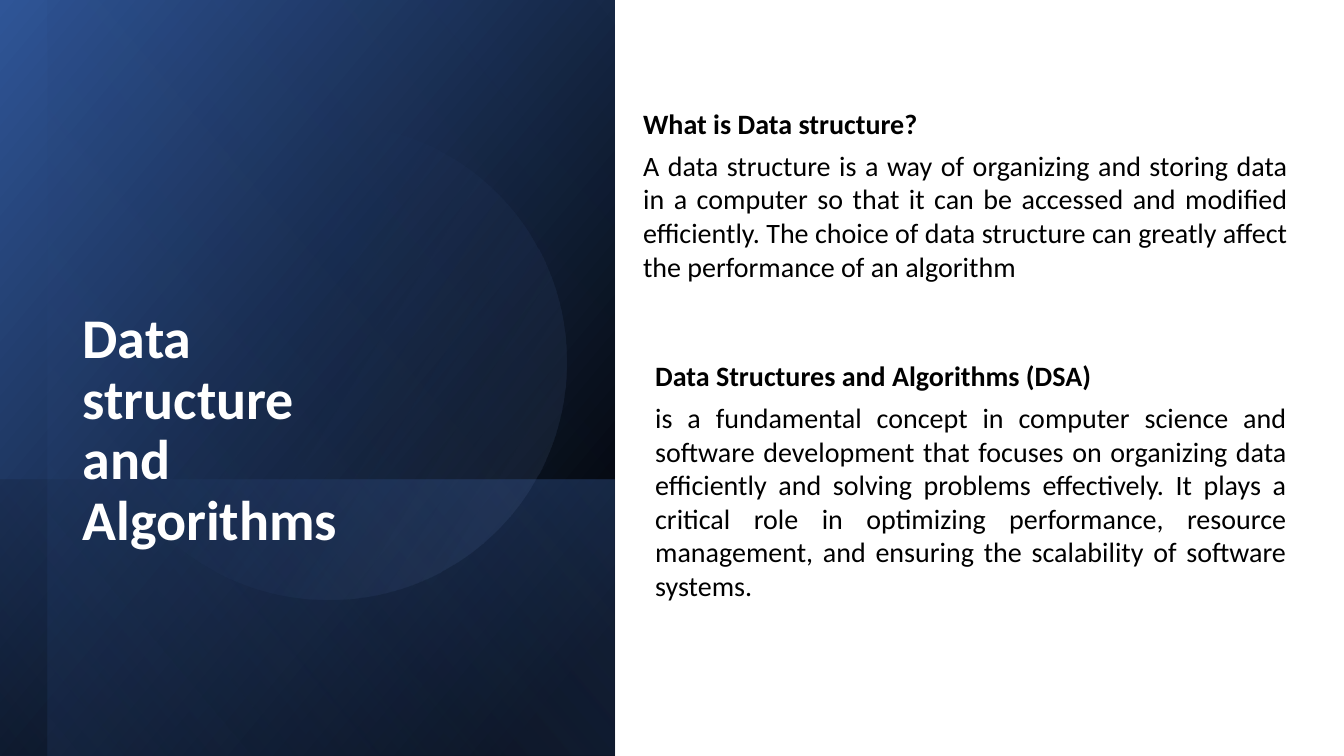
from dataclasses import dataclass

from lxml import etree
from pptx import Presentation
from pptx.dml.color import RGBColor
from pptx.enum import shapes, text
from pptx.oxml import ns
from pptx.util import Pt

PX = 9144  # EMU, 100 px to the inch
FONT = "Calibri"
WHITE, BLACK = "FFFFFF", "000000"
BLUE, DEEP_BLUE, PALE_BLUE = "4472C4", "2F5597", "8FAADC"
RECT, OVAL = shapes.MSO_SHAPE.RECTANGLE, shapes.MSO_SHAPE.OVAL


@dataclass
class Box:
    left: int
    top: int
    width: int
    height: int

    def emu(self) -> list[int]:
        return [n * PX for n in (self.left, self.top, self.width, self.height)]


@dataclass
class Stop:
    position: int
    color: str
    opacity: int = 100


@dataclass
class Panel:
    box: Box
    angle: int
    stops: list[Stop]
    kind: shapes.MSO_SHAPE = RECT
    rotation: float = 90


@dataclass
class Section:
    box: Box
    heading: str
    body: str


PANELS = [
    Panel(Box(-70, 70, 750, 610), 50, [Stop(8, BLACK), Stop(100, DEEP_BLUE)]),
    Panel(Box(167, 308, 274, 610), 130, [Stop(2, BLUE, 29), Stop(100, BLACK, 30)]),
    Panel(Box(-46, 93, 750, 563), 130, [Stop(0, BLACK, 0), Stop(99, BLUE, 11)]),
    Panel(Box(90, 123, 472, 472), 290, [Stop(39, BLUE, 0), Stop(100, PALE_BLUE, 15)],
          OVAL, 101.6),
]

SECTIONS = [
    Section(
        Box(640, 342, 646, 269),
        "Data Structures and Algorithms (DSA)",
        "is a fundamental concept in computer science and software development that "
        "focuses on organizing data efficiently and solving problems effectively. It "
        "plays a critical role in optimizing performance, resource management, and "
        "ensuring the scalability of software systems.",
    ),
    Section(
        Box(628, 66, 659, 254),
        "What is Data structure?",
        "A data structure is a way of organizing and storing data in a computer so that "
        "it can be accessed and modified efficiently. The choice of data structure can "
        "greatly affect the performance of an algorithm",
    ),
]


def fill_gradient(shape, stops: list[Stop], angle: int) -> None:
    """Give the shape a linear gradient whose stops may be transparent."""
    properties = shape._element.spPr
    gradient = etree.Element(ns.qn("a:gradFill"), rotWithShape="1")
    stop_list = etree.SubElement(gradient, ns.qn("a:gsLst"))
    for stop in stops:
        mark = etree.SubElement(stop_list, ns.qn("a:gs"), pos=str(stop.position * 1000))
        color = etree.SubElement(mark, ns.qn("a:srgbClr"), val=stop.color)
        if stop.opacity < 100:
            etree.SubElement(color, ns.qn("a:alpha"), val=str(stop.opacity * 1000))
    etree.SubElement(gradient, ns.qn("a:lin"), ang=str(angle * 60000), scaled="0")
    properties.find(ns.qn("a:prstGeom")).addnext(gradient)


def add_panel(slide, panel: Panel) -> None:
    shape = slide.shapes.add_shape(panel.kind, *panel.box.emu())
    shape.rotation = panel.rotation
    shape.shadow.inherit = False
    shape.line.fill.background()
    if panel.kind == RECT:
        shape._element.spPr.find(ns.qn("a:xfrm")).set("flipH", "1")
    fill_gradient(shape, panel.stops, panel.angle)


def add_run(paragraph, words: str, size: int, color: str, bold: bool) -> None:
    run = paragraph.add_run()
    run.text = words
    run.font.name = FONT
    run.font.size = Pt(size)
    run.font.bold = bold
    run.font.color.rgb = RGBColor.from_string(color)


def add_section(slide, section: Section) -> None:
    frame = slide.shapes.add_textbox(*section.box.emu()).text_frame
    frame.word_wrap = True
    frame.vertical_anchor = text.MSO_ANCHOR.MIDDLE
    heading, body = frame.paragraphs[0], frame.add_paragraph()
    body.alignment = text.PP_ALIGN.JUSTIFY
    for paragraph in (heading, body):
        paragraph.space_after = Pt(6)
    add_run(heading, section.heading, 20, BLACK, True)
    add_run(body, section.body, 20, BLACK, False)


def place_title(slide, words: str, box: Box) -> None:
    title = slide.shapes.title
    title.left, title.top, title.width, title.height = box.emu()
    frame = title.text_frame
    frame.word_wrap = True
    frame.auto_size = text.MSO_AUTO_SIZE.NONE
    frame.vertical_anchor = text.MSO_ANCHOR.TOP
    paragraph = frame.paragraphs[0]
    paragraph.alignment = text.PP_ALIGN.LEFT
    paragraph.line_spacing = 0.9
    add_run(paragraph, words, 40, WHITE, True)
    slide.shapes._spTree.append(title._element)  # in front of the panels


def main() -> None:
    deck = Presentation()
    deck.slide_width, deck.slide_height = 1333 * PX, 750 * PX
    slide = deck.slides.add_slide(deck.slide_layouts.get_by_name("Title Only"))
    for panel in PANELS:
        add_panel(slide, panel)
    for section in SECTIONS:
        add_section(slide, section)
    place_title(slide, "Data structure and Algorithms", Box(72, 303, 315, 336))
    deck.save("out.pptx")


if __name__ == "__main__":
    main()
